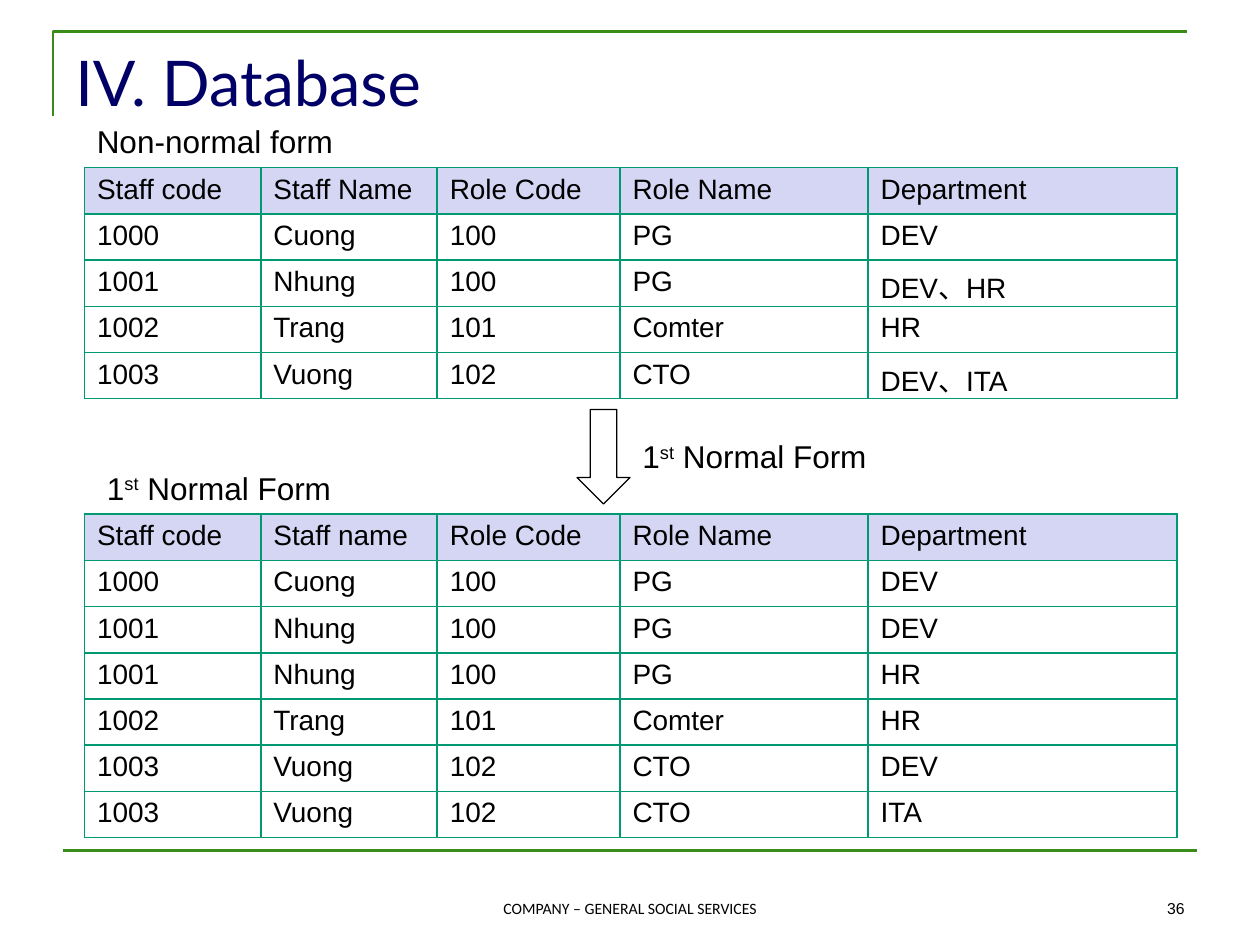
from dataclasses import dataclass

from lxml import etree
from pptx import Presentation
from pptx.dml.color import RGBColor
from pptx.enum import shapes, text
from pptx.oxml import ns
from pptx.util import Inches, Pt


@dataclass(frozen=True)
class Theme:
    title: str = "000066"
    ink: str = "000000"
    frame: str = "398C18"
    border: str = "009972"
    header: str = "D5D5F4"
    body: str = "FFFFFF"
    font: str = "Arial"
    title_font: str = "Lato"
    footer_font: str = "Calibri"
    title_size: int = 36
    label_size: int = 18
    cell_size: int = 16
    footer_size: int = 9


class SlideBuilder:
    def __init__(self, slide, theme):
        self.s = slide
        self.theme = theme

    def style(self, p, size, font=None, color=None):
        p.font.size = Pt(size)
        p.font.name = font or self.theme.font
        p.font.color.rgb = RGBColor.from_string(color or self.theme.ink)

    def text(self, box, runs, size, font=None, color=None,
             align=text.PP_ALIGN.LEFT, anchor=text.MSO_ANCHOR.TOP):
        """Add one paragraph; runs are (words, baseline shift in percent)."""
        tf = self.s.shapes.add_textbox(*map(Inches, box)).text_frame
        tf.word_wrap = True
        tf.vertical_anchor = anchor
        p = tf.paragraphs[0]
        p.alignment = align
        self.style(p, size, font, color)
        for words, shift in runs:
            r = p.add_run()
            r.text = words
            if shift:
                r._r.get_or_add_rPr().set("baseline", str(shift * 1000))

    def label(self, box, *runs):
        self.text(box, runs, self.theme.label_size)

    def footer(self, box, words, align, font=None):
        self.text(box, [(words, 0)], self.theme.footer_size, font,
                  align=align, anchor=text.MSO_ANCHOR.BOTTOM)

    def outline(self, sp, color, width):
        sp.line.color.rgb = RGBColor.from_string(color)
        sp.line.width = Pt(width)

    def corner(self, points):
        (x, y), *rest = [(Inches(x), Inches(y)) for x, y in points]
        builder = self.s.shapes.build_freeform(x, y)
        builder.add_line_segments(rest, close=False)
        sp = builder.convert_to_shape()
        sp.shadow.inherit = False
        sp.fill.background()
        self.outline(sp, self.theme.frame, 1.5)

    def rule(self, *ends):
        line = self.s.shapes.add_connector(
            shapes.MSO_CONNECTOR.STRAIGHT, *map(Inches, ends))
        self.outline(line, self.theme.frame, 1.5)
        etree.SubElement(line._element.spPr, ns.qn("a:effectLst"))

    def down_arrow(self, box):
        sp = self.s.shapes.add_shape(
            shapes.MSO_SHAPE.DOWN_ARROW, *map(Inches, box))
        sp.shadow.inherit = False
        sp.fill.background()
        self.outline(sp, self.theme.ink, 0.75)

    def cell_borders(self, cell):
        tc_pr = cell._tc.get_or_add_tcPr()
        for side in ("lnL", "lnR", "lnT", "lnB"):
            ln = etree.SubElement(tc_pr, ns.qn(f"a:{side}"), w=str(Pt(1)))
            fill = etree.SubElement(ln, ns.qn("a:solidFill"))
            etree.SubElement(fill, ns.qn("a:srgbClr"), val=self.theme.border)

    def table(self, left, top, col_widths, row_height, rows):
        table = self.s.shapes.add_table(
            len(rows), len(col_widths), Inches(left), Inches(top),
            Inches(sum(col_widths)), Inches(row_height * len(rows))).table
        table.horz_banding = False
        for column, width in zip(table.columns, col_widths):
            column.width = Inches(width)
        for i, row in enumerate(rows):
            table.rows[i].height = Inches(row_height)
            color = self.theme.body if i else self.theme.header
            for j, value in enumerate(row):
                cell = table.cell(i, j)
                self.cell_borders(cell)
                cell.fill.solid()
                cell.fill.fore_color.rgb = RGBColor.from_string(color)
                cell.text = value
                self.style(cell.text_frame.paragraphs[0], self.theme.cell_size)


COL_WIDTHS = [1.4, 1.4, 1.45, 1.97, 2.45]
NON_NORMAL = [
    ("Staff code", "Staff Name", "Role Code", "Role Name", "Department"),
    ("1000", "Cuong", "100", "PG", "DEV"),
    ("1001", "Nhung", "100", "PG", "DEV、HR"),
    ("1002", "Trang", "101", "Comter", "HR"),
    ("1003", "Vuong", "102", "CTO", "DEV、ITA"),
]
FIRST_NORMAL = [
    ("Staff code", "Staff name", "Role Code", "Role Name", "Department"),
    ("1000", "Cuong", "100", "PG", "DEV"),
    ("1001", "Nhung", "100", "PG", "DEV"),
    ("1001", "Nhung", "100", "PG", "HR"),
    ("1002", "Trang", "101", "Comter", "HR"),
    ("1003", "Vuong", "102", "CTO", "DEV"),
    ("1003", "Vuong", "102", "CTO", "ITA"),
]
FIRST_NORMAL_FORM = [("1", 0), ("st", 30), (" Normal Form", 0)]


def main():
    prs = Presentation()
    prs.slide_width, prs.slide_height = Inches(10), Inches(7.5)
    theme = Theme()
    b = SlideBuilder(prs.slides.add_slide(prs.slide_layouts[6]), theme)

    b.corner([(0.42, 0.92), (0.42, 0.25), (9.42, 0.25)])
    b.rule(0.5, 6.75, 9.5, 6.75)
    b.text((0.5, 0.3, 7.26, 0.77), [("IV. Database", 0)],
           theme.title_size, theme.title_font, theme.title)
    b.footer((7.17, 6.83, 2.33, 0.5), "36", text.PP_ALIGN.RIGHT)

    b.table(0.67, 1.33, COL_WIDTHS, 0.36, NON_NORMAL)
    b.table(0.67, 4.08, COL_WIDTHS, 0.26, FIRST_NORMAL)

    b.label((0.67, 0.92, 2.1, 0.4), ("Non-normal form", 0))
    b.label((0.75, 3.67, 2.02, 0.4), *FIRST_NORMAL_FORM)
    b.down_arrow((4.58, 3.25, 0.42, 0.75))
    b.label((5, 3.42, 2.02, 0.4), *FIRST_NORMAL_FORM)
    b.footer((3.42, 6.83, 3.16, 0.5), "COMPANY – GENERAL SOCIAL SERVICES",
             text.PP_ALIGN.CENTER, theme.footer_font)

    prs.save("out.pptx")


if __name__ == "__main__":
    main()
